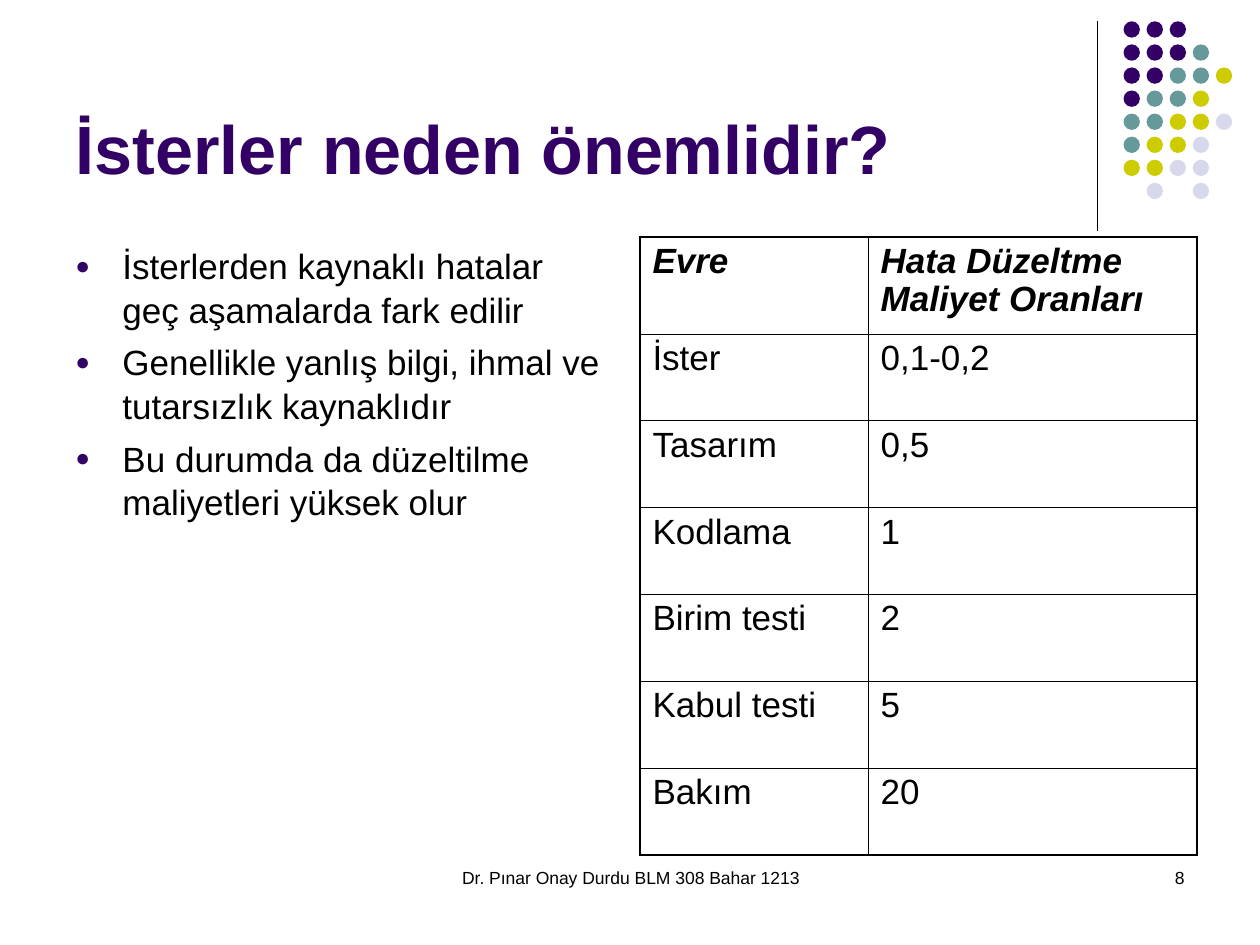
import itertools

import lxml.etree
import pptx
import pptx.dml.color
import pptx.enum.shapes
import pptx.enum.text
import pptx.oxml.ns
import pptx.util

Cm = pptx.util.Cm
Pt = pptx.util.Pt
ALIGN = pptx.enum.text.PP_ALIGN
FONT = "Arial"
BLACK = "000000"
PURPLE = "330066"
DOT_COLOURS = {"P": PURPLE, "T": "669999", "Y": "CCCC00", "L": "D8D8EC"}
DOT_ROWS = ["PPP", "PPPT", "PPTTY", "PTTY", "TTYYL", "TYYL", "YYLL", " L L"]
POINTS = [
    "İsterlerden kaynaklı hatalar geç aşamalarda fark edilir",
    "Genellikle yanlış bilgi, ihmal ve tutarsızlık kaynaklıdır",
    "Bu durumda da düzeltilme maliyetleri yüksek olur",
]
COSTS = [
    ("Evre", "Hata Düzeltme Maliyet Oranları"),
    ("İster", "0,1-0,2"),
    ("Tasarım", "0,5"),
    ("Kodlama", "1"),
    ("Birim testi", "2"),
    ("Kabul testi", "5"),
    ("Bakım", "20"),
]


def colour(value):
    """Turn a hex string into a colour."""
    return pptx.dml.color.RGBColor.from_string(value)


def add_xml(parent, tag, **attributes):
    """Append a DrawingML element and return it."""
    return lxml.etree.SubElement(parent, pptx.oxml.ns.qn(tag), attributes)


def format_para(para, size, ink=BLACK, bold=False, italic=False, align=ALIGN.LEFT):
    """Align a paragraph and set the font of its runs."""
    para.alignment = align
    for span in para.runs:
        span.font.name = FONT
        span.font.size = Pt(size)
        span.font.bold = bold
        span.font.italic = italic
        span.font.color.rgb = colour(ink)


def add_text_box(page, box):
    """Add a wrapping text frame in the given box."""
    frame = page.shapes.add_textbox(*map(Cm, box)).text_frame
    frame.word_wrap = True
    return frame


def add_dots(page, box):
    """Draw the vertical rule and the coloured dots to its right."""
    left, top, width, height = box
    rule = page.shapes.add_connector(
        pptx.enum.shapes.MSO_CONNECTOR.STRAIGHT,
        Cm(left), Cm(top), Cm(left), Cm(top + height))
    rule.line.width = Pt(0.75)
    rule.line.color.rgb = colour(BLACK)
    add_xml(rule._element.spPr, "a:effectLst")

    size, first = 0.33, left + 0.53
    pitch = (left + width - size - first) / 4
    group = page.shapes.add_group_shape()
    for row, marks in enumerate(DOT_ROWS):
        for column, mark in enumerate(marks):
            if mark not in DOT_COLOURS:
                continue
            dot = group.shapes.add_shape(
                pptx.enum.shapes.MSO_SHAPE.OVAL,
                Cm(first + column * pitch), Cm(top + row * pitch), Cm(size), Cm(size))
            dot.shadow.inherit = False
            dot.fill.solid()
            dot.fill.fore_color.rgb = colour(DOT_COLOURS[mark])
            dot.line.fill.background()


def place_title(page, box, text):
    """Move the title placeholder into the box and format it."""
    title = page.shapes.title
    title.left, title.top, title.width, title.height = map(Cm, box)
    frame = title.text_frame
    frame.text = text
    frame.vertical_anchor = pptx.enum.text.MSO_ANCHOR.BOTTOM
    format_para(frame.paragraphs[0], 39, PURPLE, bold=True)


def add_points(page, box, points):
    """Write the bulleted list."""
    frame = add_text_box(page, box)
    for index, point in enumerate(points):
        para = frame.add_paragraph() if index else frame.paragraphs[0]
        para.text = point
        para.line_spacing = 1.04
        if index:
            para.space_before = Pt(5)
        properties = para._p.get_or_add_pPr()
        properties.set("marL", str(Cm(0.95)))
        properties.set("indent", str(-Cm(0.95)))
        add_xml(add_xml(properties, "a:buClr"), "a:srgbClr", val=PURPLE)
        add_xml(properties, "a:buSzPct", val="70000")
        add_xml(properties, "a:buFont", typeface=FONT)
        add_xml(properties, "a:buChar", char="●")
        format_para(para, 20)


def add_border(cell, side, width):
    """Draw one edge of a table cell."""
    line = add_xml(cell._tc.get_or_add_tcPr(), f"a:ln{side}", w=str(Pt(width)))
    add_xml(add_xml(line, "a:solidFill"), "a:srgbClr", val=BLACK)


def add_cost_table(page, box, rows):
    """Build the cost table with a heavier outer frame."""
    left, top, width, height = box
    table = page.shapes.add_table(len(rows), 2, *map(Cm, box)).table
    table.first_row = table.horz_banding = False
    phase_width, header_height = 4.6, 1.95
    table.columns[0].width = Cm(phase_width)
    table.columns[1].width = Cm(width - phase_width)
    last = len(rows) - 1
    for index, row in enumerate(table.rows):
        row.height = Cm((height - header_height) / last if index else header_height)

    for row, column in itertools.product(range(len(rows)), range(2)):
        cell = table.cell(row, column)
        cell.text = rows[row][column]
        outer = {"L": column == 0, "R": column == 1, "T": row == 0, "B": row == last}
        for side, is_outer in outer.items():
            add_border(cell, side, 1.08 if is_outer else 0.45)
        cell.fill.background()
        para = cell.text_frame.paragraphs[0]
        para.line_spacing = 0.97
        format_para(para, 20, bold=row == 0, italic=row == 0)


def add_footer(page, box, text, align):
    """Write one small footer text."""
    frame = add_text_box(page, box)
    frame.text = text
    format_para(frame.paragraphs[0], 10, align=align)


def main():
    """Build and save the deck."""
    deck = pptx.Presentation()
    deck.slide_width, deck.slide_height = Cm(25.4), Cm(19.05)
    page = deck.slides.add_slide(deck.slide_layouts[5])
    add_dots(page, (22.12, 0.43, 2.72, 4.22))
    add_footer(page, (8.69, 17.35, 8.05, 1.27),
               "Dr. Pınar Onay Durdu BLM 308 Bahar 1213", ALIGN.CENTER)
    add_footer(page, (18.21, 17.35, 5.92, 1.27), "8", ALIGN.RIGHT)
    place_title(page, (1.27, 0.33, 20.95, 3.6), "İsterler neden önemlidir?")
    add_points(page, (1.27, 4.78, 11.23, 12.24), POINTS)
    add_cost_table(page, (12.9, 4.78, 11.23, 12.45), COSTS)
    deck.save("out.pptx")


if __name__ == "__main__":
    main()
